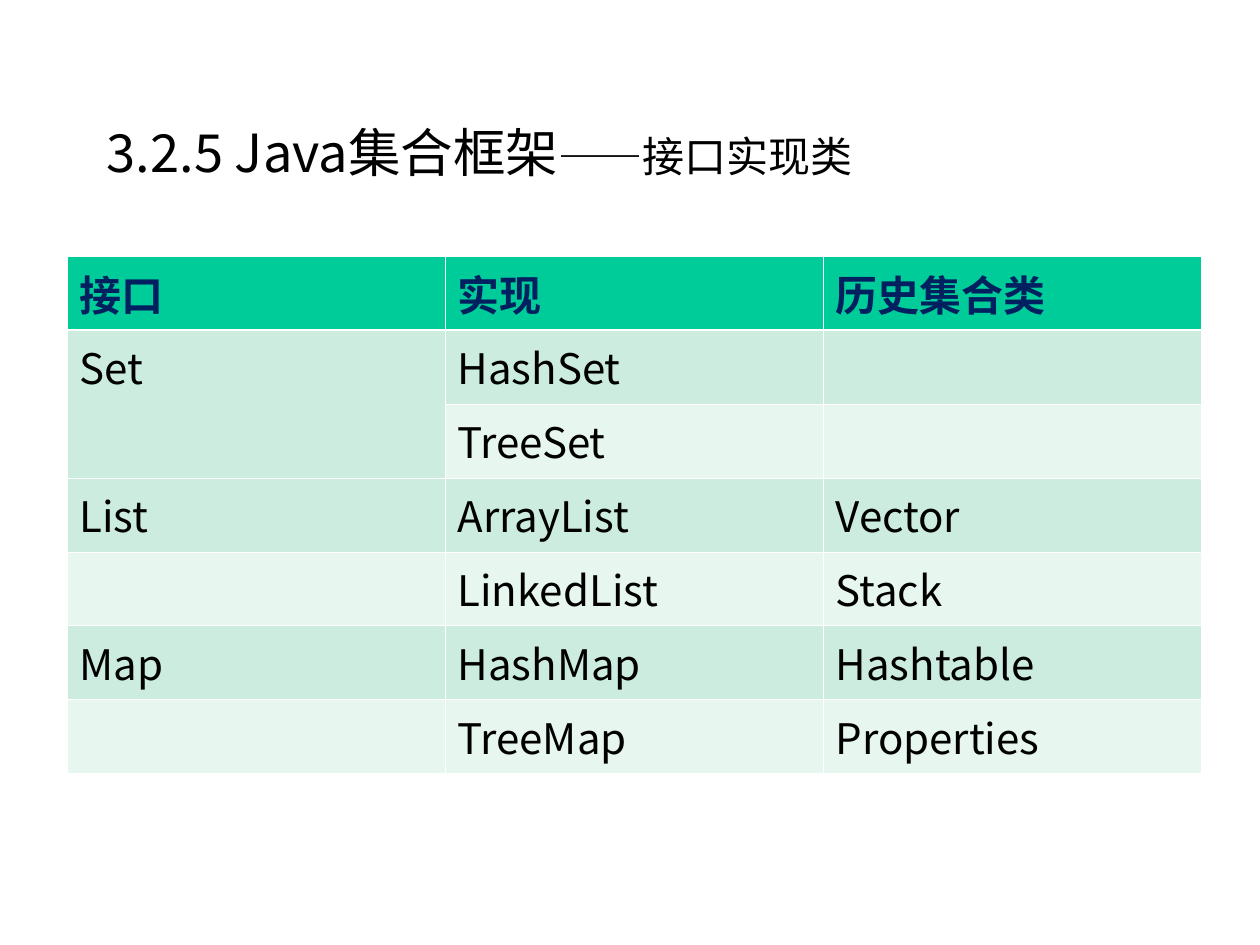
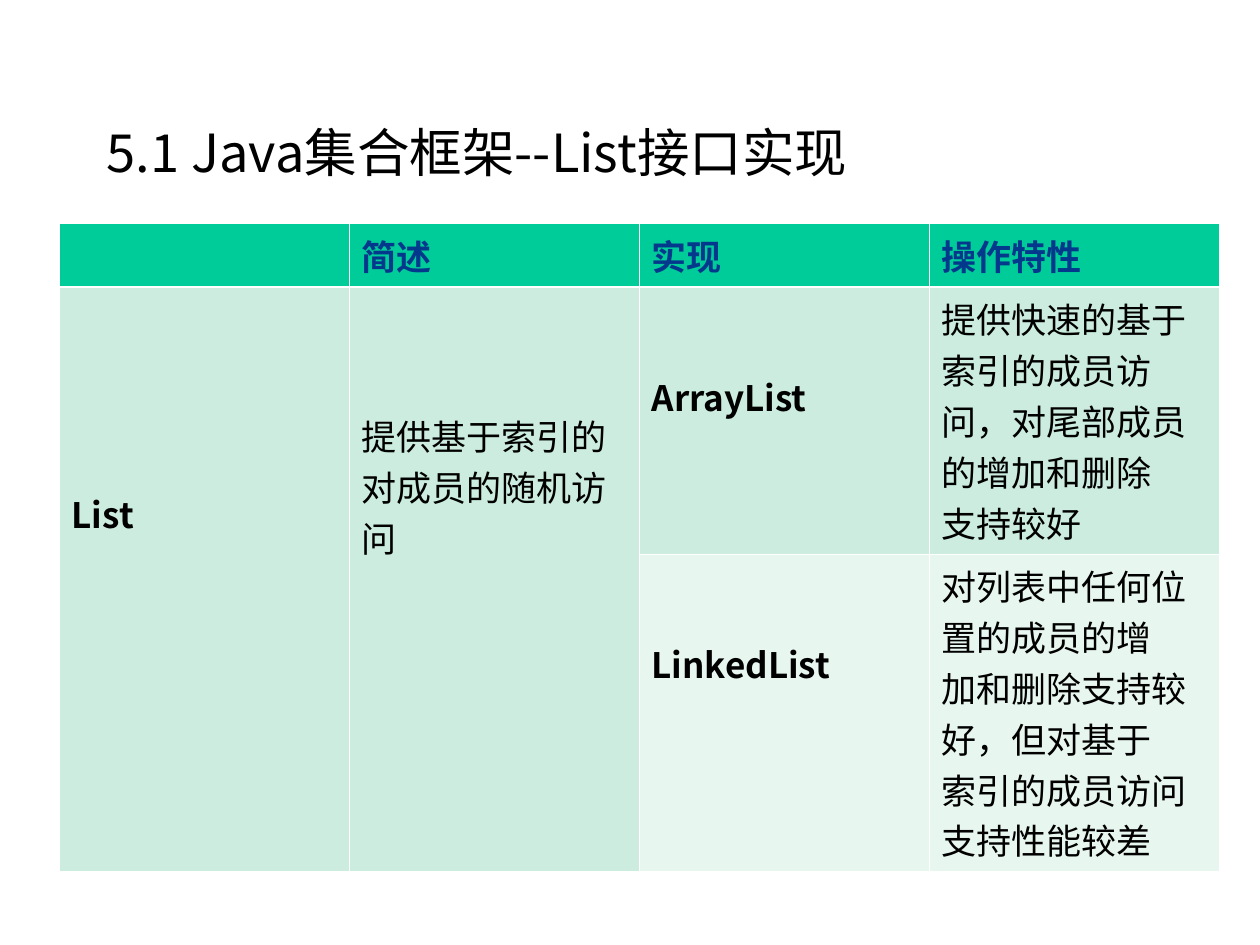
from lxml import etree
from pptx import Presentation
from pptx import util as u
from pptx.dml import color
from pptx.enum import text
from pptx.oxml import ns

PX = 914400 / 126
FONT = "Noto Sans CJK SC"
INK, EDGE, HEADER_FILL = "000000", "FFFFFF", "00CC99"
BANDS = ("CBECDE", "E7F6EF")
TITLE_BOX = (94, 105, 1071, 94)
THIN, THICK = 0.45, 1.47

INTERFACES = [
    ["接口", "实现", "历史集合类"],
    ["Set", "HashSet", ""],
    ["", "TreeSet", ""],
    ["List", "ArrayList", "Vector"],
    ["", "LinkedList", "Stack"],
    ["Map", "HashMap", "Hashtable"],
    ["", "TreeMap", "Properties"],
]
LIST_CLASSES = [
    ["", "简述", "实现", "操作特性"],
    ["List", "提供基于索引的对成员的随机访问", "ArrayList",
     "提供快速的基于索引的成员访\n问，对尾部成员的增加和删除\n支持较好"],
    ["", "", "LinkedList",
     "对列表中任何位置的成员的增\n加和删除支持较好，但对基于\n索引的成员访问支持性能较差"],
]


def px(length):
    """Turn px into EMU."""
    return u.Emu(round(length * PX))


def rgb(code):
    """Turn a hex string into a colour."""
    return color.RGBColor.from_string(code)


def style(paragraph, size, ink=INK, bold=False):
    """Set the font of a whole paragraph for Latin and Chinese text."""
    font = paragraph.font
    font.size, font.bold = u.Pt(size), bold
    font.color.rgb = rgb(ink)
    font.name = FONT
    defaults = paragraph._p.pPr.find(ns.qn("a:defRPr"))
    etree.SubElement(defaults, ns.qn("a:ea"), typeface=FONT)


def add_title(slide, heading, subheading=""):
    """Place the title with an optional smaller ending."""
    title = slide.shapes.title
    title.left, title.top, title.width, title.height = map(px, TITLE_BOX)
    frame = title.text_frame
    frame.vertical_anchor = text.MSO_ANCHOR.MIDDLE
    line = frame.paragraphs[0]
    line.alignment = text.PP_ALIGN.LEFT
    style(line, 30)
    line.add_run().text = heading
    if subheading:
        ending = line.add_run()
        ending.text = subheading
        ending.font.size = u.Pt(24)


def add_borders(cell, top, bottom):
    """Draw white edges around a cell."""
    properties = cell._tc.get_or_add_tcPr()
    for side, width in zip("LRTB", (THIN, THIN, top, bottom)):
        edge = etree.SubElement(properties, ns.qn(f"a:ln{side}"), w=str(u.Pt(width)))
        fill = etree.SubElement(edge, ns.qn("a:solidFill"))
        etree.SubElement(fill, ns.qn("a:srgbClr"), val=EDGE)


def add_grid(slide, left, top, column, heights, rows, size, header_ink):
    """Add a banded table with equal columns and return it."""
    columns = len(rows[0])
    grid = slide.shapes.add_table(
        len(rows), columns, px(left), px(top), px(column * columns), px(sum(heights))
    ).table
    grid.first_row = grid.horz_banding = False
    for grid_column in grid.columns:
        grid_column.width = px(column)
    for r, (height, entries) in enumerate(zip(heights, rows)):
        grid.rows[r].height = px(height)
        for c, entry in enumerate(entries):
            cell = grid.cell(r, c)
            add_borders(cell, THICK if r == 1 else THIN, THICK if r == 0 else THIN)
            cell.fill.solid()
            cell.fill.fore_color.rgb = rgb(BANDS[(r - 1) % 2] if r else HEADER_FILL)
            cell.text = entry
            for paragraph in cell.text_frame.paragraphs:
                style(paragraph, size, INK if r else header_ink, r == 0)
    return grid


def build_interfaces(slide):
    """Build the overview of interfaces and their classes."""
    add_title(slide, "3.2.5 Java集合框架", "——接口实现类")
    grid = add_grid(slide, 67, 256, 378, [74] * 7, INTERFACES, 24, "002060")
    grid.cell(1, 0).merge(grid.cell(2, 0))


def build_list_classes(slide):
    """Build the comparison of the List classes."""
    add_title(slide, "5.1 Java集合框架--List接口实现")
    grid = add_grid(slide, 59, 223, 290, [64, 267, 317], LIST_CLASSES, 20, "04388C")
    for c in (0, 1):
        grid.cell(1, c).merge(grid.cell(2, c))
    for r, c, lines_down in ((1, 0, 5), (1, 1, 3), (1, 2, 2), (2, 2, 2)):
        cell = grid.cell(r, c)
        cell.margin_top = px(6 + 39 * lines_down)
        cell.text_frame.paragraphs[0].font.bold = c != 1


def main():
    """Build and save the slides."""
    deck = Presentation()
    deck.slide_width, deck.slide_height = u.Inches(10), u.Inches(7.5)
    for build in (build_interfaces, build_list_classes):
        build(deck.slides.add_slide(deck.slide_layouts[5]))
    deck.save("out.pptx")


if __name__ == "__main__":
    main()
